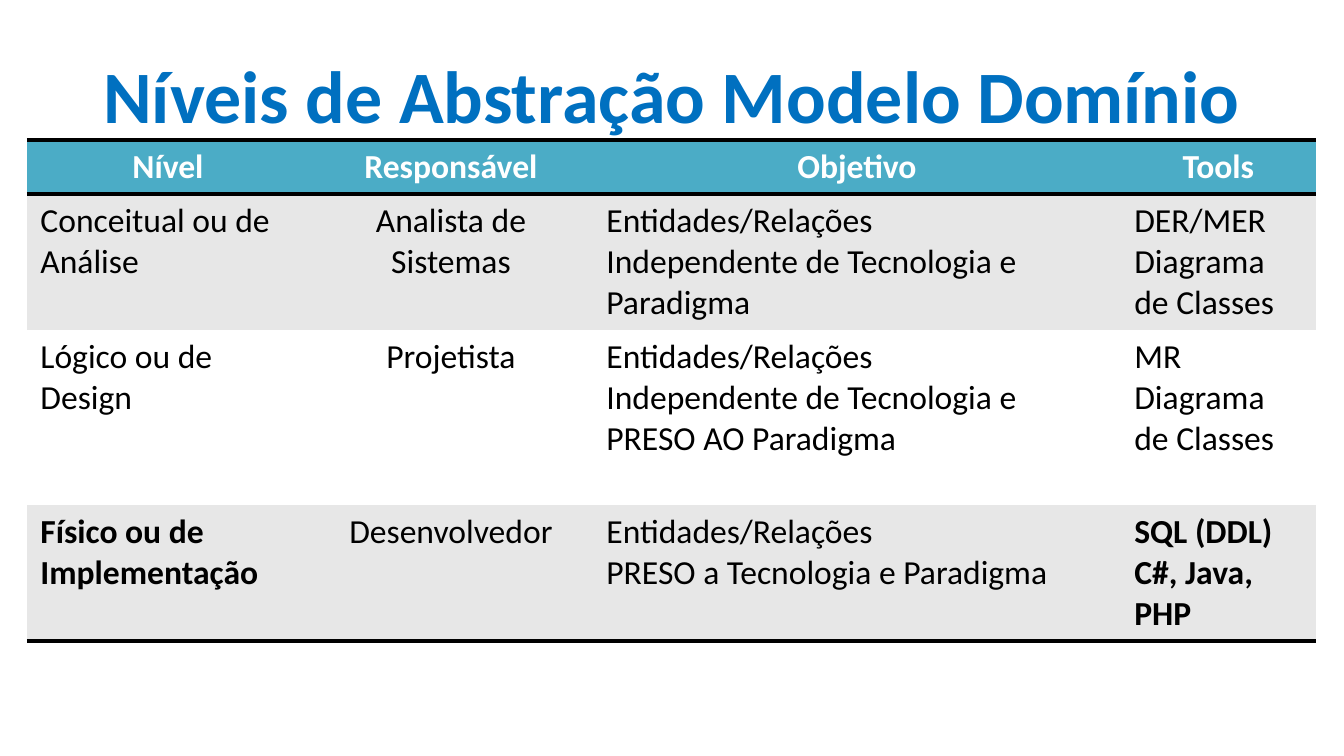
from lxml.etree import SubElement
from pptx import Presentation
from pptx.dml.color import RGBColor
from pptx.enum.text import MSO_ANCHOR, PP_ALIGN
from pptx.oxml.ns import qn
from pptx.util import Emu, Pt

PX_PER_INCH = 134.4
FONT = "Calibri"
COLORS = {
    "title": "0070C0",
    "header": "4BACC6",
    "band": "E7E7E7",
    "white": "FFFFFF",
    "black": "000000",
}
NO_STYLE_NO_GRID = "{2D5ABB26-0587-4C30-8999-92F81FD0307C}"

COLUMN_WIDTHS = [282, 284, 528, 195]
ROW_HEIGHTS = [54, 136, 175, 136]
CENTERED_COLUMN = 1
BOLD_CELLS = {(3, 0), (3, 3)}
LEVELS = [
    ["Nível", "Responsável", "Objetivo", "Tools"],
    ["Conceitual ou de Análise", "Analista de Sistemas",
     "Entidades/Relações\nIndependente de Tecnologia e Paradigma",
     "DER/MER\nDiagrama de Classes"],
    ["Lógico ou de Design", "Projetista",
     "Entidades/Relações\nIndependente de Tecnologia e PRESO AO Paradigma",
     "MR\nDiagrama de Classes"],
    ["Físico ou de Implementação", "Desenvolvedor",
     "Entidades/Relações\nPRESO a Tecnologia e Paradigma",
     "SQL (DDL)\nC#, Java, PHP"],
]


def px(length):
    return Emu(round(length * 914400 / PX_PER_INCH))


def color(name):
    return RGBColor.from_string(COLORS[name])


def write_text(frame, text, size, color_name, bold=False, align=PP_ALIGN.LEFT):
    """Fill a text frame, one paragraph for each line of text."""
    frame.text = text
    for paragraph in frame.paragraphs:
        paragraph.alignment = align
        font = paragraph.font
        font.name, font.size, font.bold = FONT, Pt(size), bold
        font.color.rgb = color(color_name)


def add_title(slide, text):
    box = slide.shapes.add_textbox(px(67), px(31), px(1210), px(126))
    frame = box.text_frame
    frame.word_wrap = True
    frame.vertical_anchor = MSO_ANCHOR.MIDDLE
    frame.margin_left = frame.margin_right = px(7)
    write_text(frame, text, 39.6, "title", True, PP_ALIGN.CENTER)


def add_border(cell, side):
    properties = cell._tc.get_or_add_tcPr()
    line = SubElement(properties, qn(f"a:ln{side}"), w=str(Pt(2)))
    fill = SubElement(line, qn("a:solidFill"))
    SubElement(fill, qn("a:srgbClr"), val=COLORS["black"])


def format_cell(cell, row, column, text):
    header = row == 0
    # Borders come before the fill in the cell's XML.
    if header:
        add_border(cell, "T")
    if row in (0, len(LEVELS) - 1):
        add_border(cell, "B")
    cell.fill.solid()
    fill_name = "header" if header else "band" if row % 2 else "white"
    cell.fill.fore_color.rgb = color(fill_name)
    centered = header or column == CENTERED_COLUMN
    write_text(cell.text_frame, text, 18, "white" if header else "black",
               header or (row, column) in BOLD_CELLS,
               PP_ALIGN.CENTER if centered else PP_ALIGN.LEFT)


def add_levels_table(slide):
    frame = slide.shapes.add_table(
        len(LEVELS), len(COLUMN_WIDTHS), px(27), px(140),
        px(sum(COLUMN_WIDTHS)), px(sum(ROW_HEIGHTS)))
    table = frame.table
    table.horz_banding = False
    table._tbl.tblPr.find(qn("a:tableStyleId")).text = NO_STYLE_NO_GRID
    for column, width in zip(table.columns, COLUMN_WIDTHS):
        column.width = px(width)
    for row, height in zip(table.rows, ROW_HEIGHTS):
        row.height = px(height)
    for row, texts in enumerate(LEVELS):
        for column, text in enumerate(texts):
            format_cell(table.cell(row, column), row, column, text)


def main():
    presentation = Presentation()
    presentation.slide_width, presentation.slide_height = px(1344), px(756)
    slide = presentation.slides.add_slide(presentation.slide_layouts[6])
    add_title(slide, "Níveis de Abstração Modelo Domínio")
    add_levels_table(slide)
    presentation.save("out.pptx")


if __name__ == "__main__":
    main()
